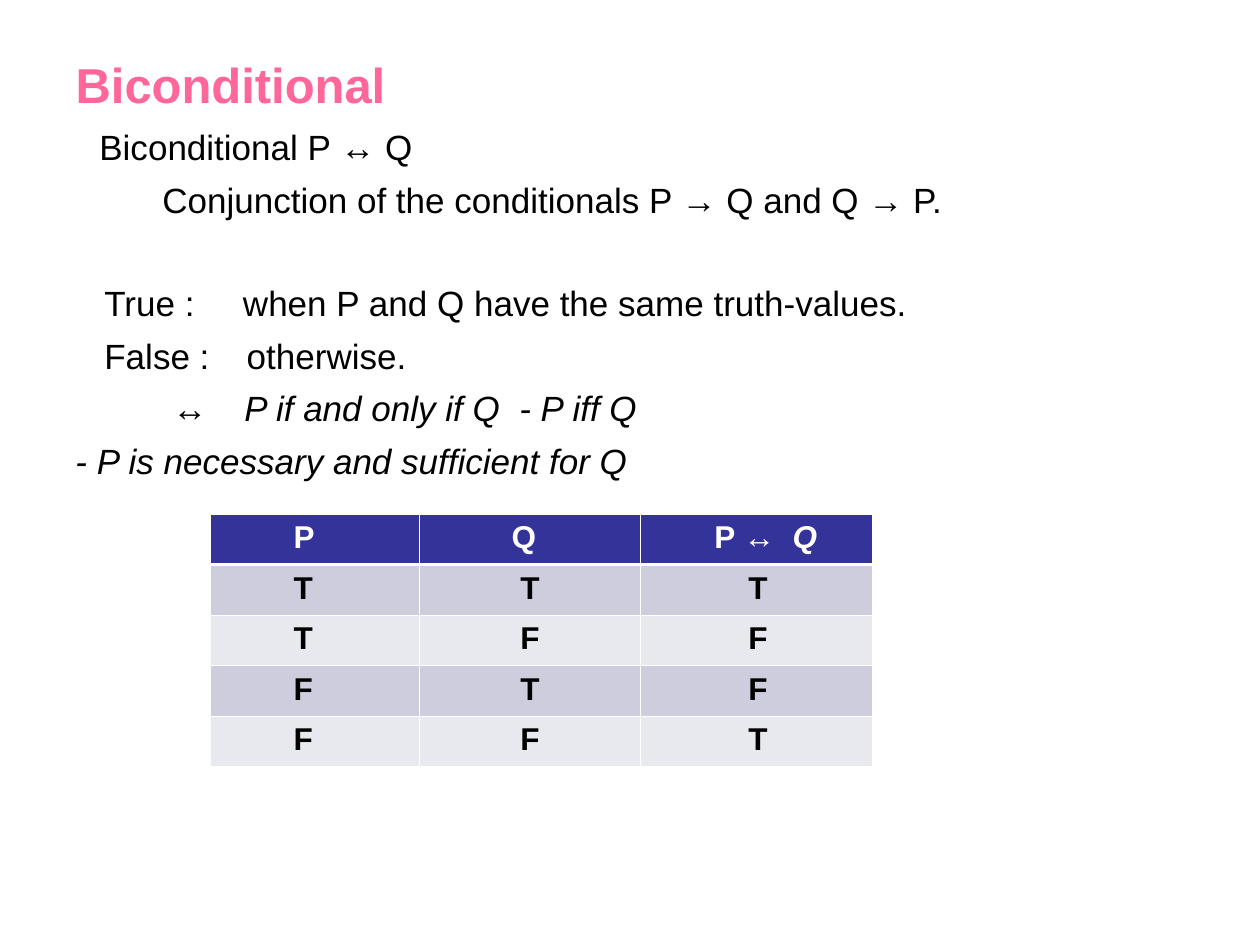
from lxml.etree import SubElement
from pptx import Presentation
from pptx.dml.color import RGBColor
from pptx.enum.text import MSO_ANCHOR, PP_ALIGN
from pptx.oxml.ns import qn
from pptx.util import Inches, Pt

FONT = "Arial"
COLUMN_WIDTHS = (1.66, 1.75, 1.84)
HEADER_INDENTS = (0.56, 0.63, 0.49)
VALUE_INDENTS = (0.56, 0.7, 0.76)
HEADERS = ([("P", False)], [("Q", False)], [("P ", False), ("↔  Q", True)])
TRUTH_ROWS = ("TTT", "TFF", "FTF", "FFT")

# Runs as (text, italic), first-line indent, hanging indent, space before
STATEMENTS = (
    ([("Biconditional P ", False), ("↔", True), (" Q", False)], 0.19, 0.19, 0),
    ([("Conjunction of the conditionals P → Q and Q → P.", False)], 0.69, 0.69, 6),
    ([("True :\twhen P and Q have the same truth-values.", False)], 0.23, 1.33, 35),
    ([("False :\totherwise.", False)], 0.23, 1.36, 6),
    ([("↔\tP if and only if Q  - P iff Q", True)], 0.77, 1.34, 6),
    ([("- P is necessary and sufficient for Q", True)], 0, 0, 6),
)


def color(value):
    return RGBColor.from_string(value)


def add_run(paragraph, text, size, text_color, bold=False, italic=False):
    run = paragraph.add_run()
    run.text = text
    font = run.font
    font.name, font.size, font.bold, font.italic = FONT, Pt(size), bold, italic
    font.color.rgb = color(text_color)


def set_indent(paragraph, first_line, hanging):
    """Start the first line at first_line; a tab then leads to hanging."""
    properties = paragraph._p.get_or_add_pPr()
    properties.set("marL", str(Inches(hanging)))
    properties.set("indent", str(Inches(first_line) - Inches(hanging)))


def set_borders(cell, top, bottom):
    properties = cell._tc.get_or_add_tcPr()
    widths = {"a:lnL": 0.45, "a:lnR": 0.45, "a:lnT": top, "a:lnB": bottom}
    for index, (tag, width) in enumerate(widths.items()):
        line = SubElement(properties, qn(tag), w=str(Pt(width)))
        fill = SubElement(line, qn("a:solidFill"))
        SubElement(fill, qn("a:srgbClr"), val="FFFFFF")
        properties.insert(index, line)


def place_title(slide, left, top, width, height):
    title = slide.shapes.title
    title.left, title.top = Inches(left), Inches(top)
    title.width, title.height = Inches(width), Inches(height)
    title.text_frame.vertical_anchor = MSO_ANCHOR.TOP
    paragraph = title.text_frame.paragraphs[0]
    paragraph.alignment = PP_ALIGN.LEFT
    add_run(paragraph, "Biconditional", 28, "FF6699", bold=True)


def add_statements(slide, left, top, width, height):
    box = slide.shapes.add_textbox(
        Inches(left), Inches(top), Inches(width), Inches(height))
    frame = box.text_frame
    frame.word_wrap = True
    for index, (runs, first_line, hanging, space) in enumerate(STATEMENTS):
        paragraph = frame.add_paragraph() if index else frame.paragraphs[0]
        set_indent(paragraph, first_line, hanging)
        if space:
            paragraph.space_before = Pt(space)
        for text, italic in runs:
            add_run(paragraph, text, 20, "000000", italic=italic)


def add_truth_table(slide, left, top, width, height):
    rows = [HEADERS] + [[[(value, False)] for value in row] for row in TRUTH_ROWS]
    table = slide.shapes.add_table(
        len(rows), len(COLUMN_WIDTHS),
        Inches(left), Inches(top), Inches(width), Inches(height)).table
    for column, column_width in zip(table.columns, COLUMN_WIDTHS):
        column.width = Inches(column_width)
    for row_index, row in enumerate(rows):
        is_header = row_index == 0
        band = "CDCDDE" if row_index % 2 else "E8E8EF"
        indents = HEADER_INDENTS if is_header else VALUE_INDENTS
        for column_index, runs in enumerate(row):
            cell = table.cell(row_index, column_index)
            cell.fill.solid()
            cell.fill.fore_color.rgb = color("333399" if is_header else band)
            set_borders(cell, top=1.47 if row_index == 1 else 0.45,
                        bottom=1.47 if is_header else 0.45)
            paragraph = cell.text_frame.paragraphs[0]
            set_indent(paragraph, indents[column_index], indents[column_index])
            for text, italic in runs:
                add_run(paragraph, text, 18, "FFFFFF" if is_header else "000000",
                        bold=True, italic=italic)


def main():
    presentation = Presentation()
    presentation.slide_width, presentation.slide_height = Inches(10), Inches(7.5)
    slide = presentation.slides.add_slide(presentation.slide_layouts[5])
    place_title(slide, 0.5, 0.38, 8.75, 0.57)
    add_statements(slide, 0.5, 0.95, 8.75, 3)
    add_truth_table(slide, 1.67, 4.08, sum(COLUMN_WIDTHS), 2)
    presentation.save("out.pptx")


if __name__ == "__main__":
    main()
